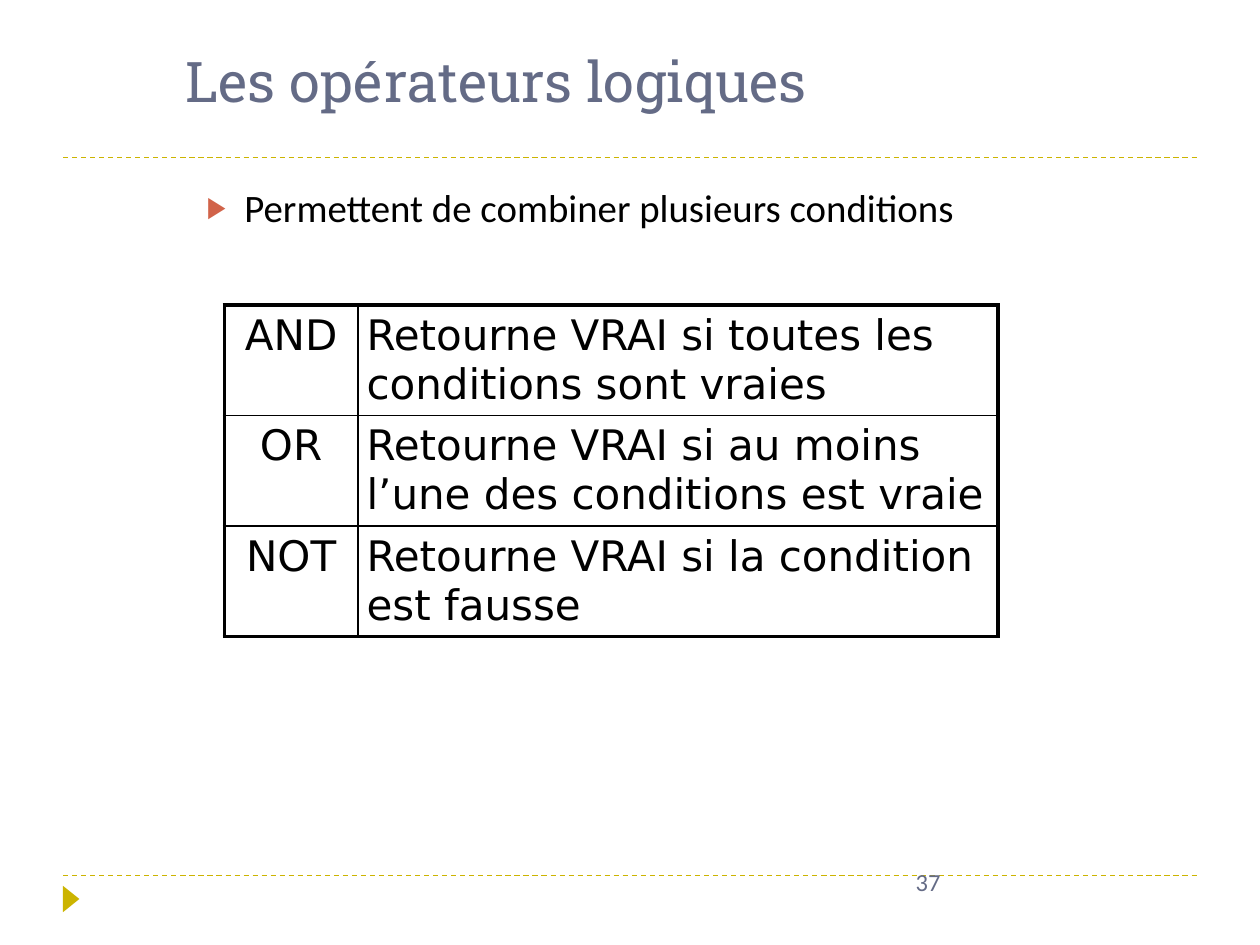
"""Build the slide on logical operators, with its table of AND, OR and NOT."""
from lxml import etree
from pptx import Presentation
from pptx.dml.color import RGBColor
from pptx.enum.dml import MSO_LINE
from pptx.enum.shapes import MSO_CONNECTOR, MSO_SHAPE
from pptx.enum.text import MSO_ANCHOR, MSO_AUTO_SIZE, PP_ALIGN
from pptx.oxml.ns import qn
from pptx.util import Pt

STRAIGHT = MSO_CONNECTOR.STRAIGHT
TRIANGLE = MSO_SHAPE.ISOSCELES_TRIANGLE
DASH = MSO_LINE.DASH
TOP, BOTTOM = MSO_ANCHOR.TOP, MSO_ANCHOR.BOTTOM
LEFT, CENTER = PP_ALIGN.LEFT, PP_ALIGN.CENTER
NO_FIT = MSO_AUTO_SIZE.NONE

GOLD = RGBColor(0xCC, 0xB4, 0x00)
SLATE = RGBColor(0x64, 0x6B, 0x86)
RUST = RGBColor(0xD1, 0x63, 0x49)
BLACK = RGBColor(0x00, 0x00, 0x00)

THIN, THICK = Pt(1), Pt(2.25)
OPERATORS = [
    ("AND", "Retourne VRAI si toutes les conditions sont vraies"),
    ("OR", "Retourne VRAI si au moins l’une des conditions est vraie"),
    ("NOT", "Retourne VRAI si la condition est fausse"),
]


def write(frame, text, font, size, color, align=LEFT, anchor=TOP):
    frame.text = text
    frame.word_wrap = True
    frame.vertical_anchor = anchor
    para = frame.paragraphs[0]
    para.alignment = align
    para.space_before = Pt(0)
    span = para.runs[0]
    span.font.name = font
    span.font.size = Pt(size)
    span.font.color.rgb = color


def add_border(cell, side, width):
    border = etree.SubElement(cell._tc.get_or_add_tcPr(), qn(f"a:ln{side}"), w=str(width))
    fill = etree.SubElement(border, qn("a:solidFill"))
    etree.SubElement(fill, qn("a:srgbClr"), val=str(BLACK))


deck = Presentation()
deck.slide_width, deck.slide_height = Pt(720), Pt(540)
page = deck.slides.add_slide(deck.slide_layouts[1])

for y in (500.4, 90):
    rule = page.shapes.add_connector(STRAIGHT, Pt(36), Pt(y), Pt(684), Pt(y))
    rule.line.color.rgb = GOLD
    rule.line.width = Pt(0.75)
    rule.line.dash_style = DASH
    etree.SubElement(rule._element.spPr, qn("a:effectLst"))

marker = page.shapes.add_shape(TRIANGLE, Pt(33.1), Pt(509), Pt(15.1), Pt(9.4))
marker.rotation = 90
marker.shadow.inherit = False
marker.fill.solid()
marker.fill.fore_color.rgb = GOLD
marker.line.fill.background()

title = page.shapes.title
title.left, title.top, title.width, title.height = Pt(98.6), Pt(11.5), Pt(486), Pt(56.9)
write(title.text_frame, "Les opérateurs logiques", "Roboto Slab", 32, SLATE, anchor=BOTTOM)
title.text_frame.auto_size = NO_FIT

body = page.placeholders[1]
body.left, body.top, body.width, body.height = Pt(110.9), Pt(101.5), Pt(464.4), Pt(48.2)
write(body.text_frame, "Permettent de combiner plusieurs conditions", "Calibri", 22.2, BLACK)
body.text_frame.auto_size = NO_FIT
bullet = body.text_frame.paragraphs[0]._p.get_or_add_pPr()
bullet.set("marL", str(Pt(21.6)))
bullet.set("indent", str(-Pt(21.6)))
bullet_color = etree.SubElement(bullet, qn("a:buClr"))
etree.SubElement(bullet_color, qn("a:srgbClr"), val=str(RUST))
etree.SubElement(bullet, qn("a:buSzPct"), val="76000")
etree.SubElement(bullet, qn("a:buChar"), char="▶")

grid = page.shapes.add_table(3, 2, Pt(128.2), Pt(174.2), Pt(442), Pt(189)).table
grid.first_row = grid.horz_banding = False
grid.columns[0].width, grid.columns[1].width = Pt(76.3), Pt(365.7)
last_row = len(OPERATORS) - 1
for r, texts in enumerate(OPERATORS):
    grid.rows[r].height = Pt(63)
    for c, text in enumerate(texts):
        cell = grid.cell(r, c)
        write(cell.text_frame, text, "DejaVu Sans", 24, BLACK, LEFT if c else CENTER)
        cell.margin_left = cell.margin_right = Pt(5)
        cell.margin_top = cell.margin_bottom = Pt(3.6)
        outer = {"L": c == 0, "R": c == 1, "T": r == 0, "B": r == last_row}
        for side, is_outer in outer.items():
            add_border(cell, side, THICK if is_outer else THIN)
        cell.fill.background()

number = page.shapes.add_textbox(Pt(516.2), Pt(491.8), Pt(167.8), Pt(36))
write(number.text_frame, "37", "Calibri", 14, SLATE)

deck.save("out.pptx")
